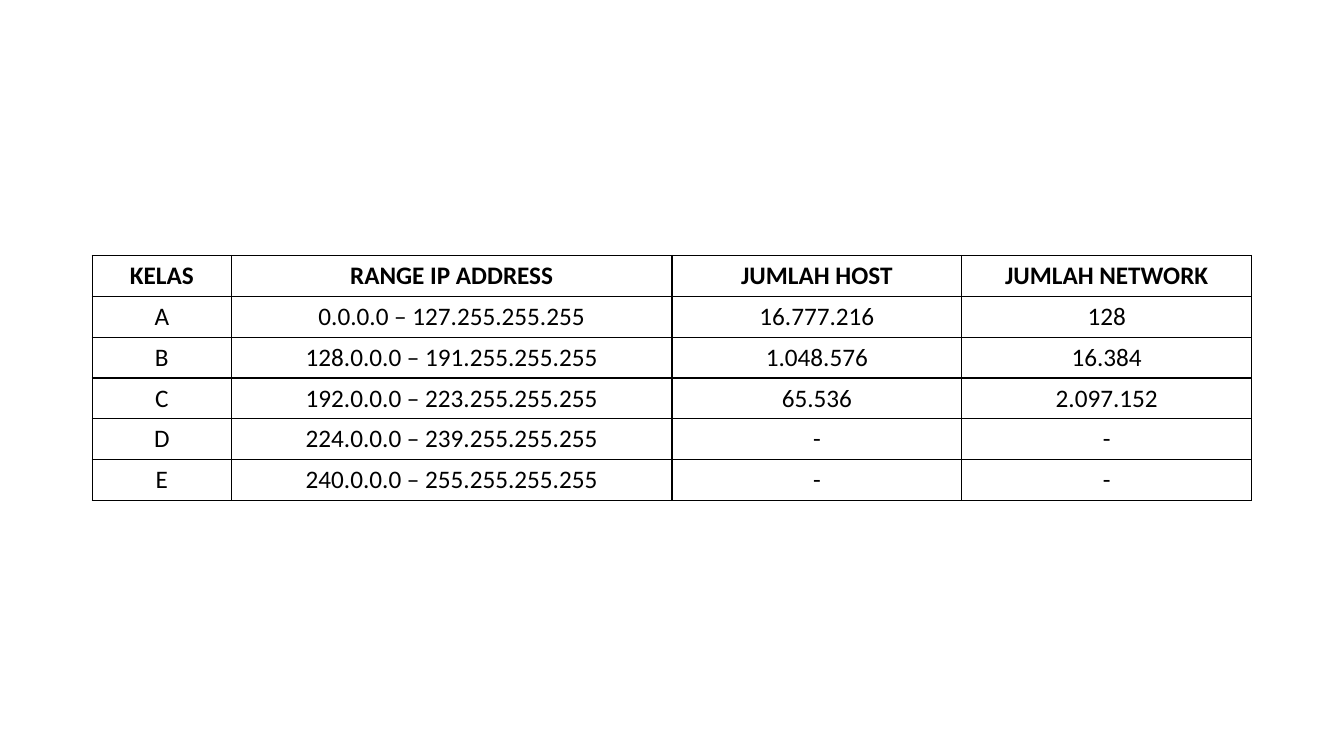
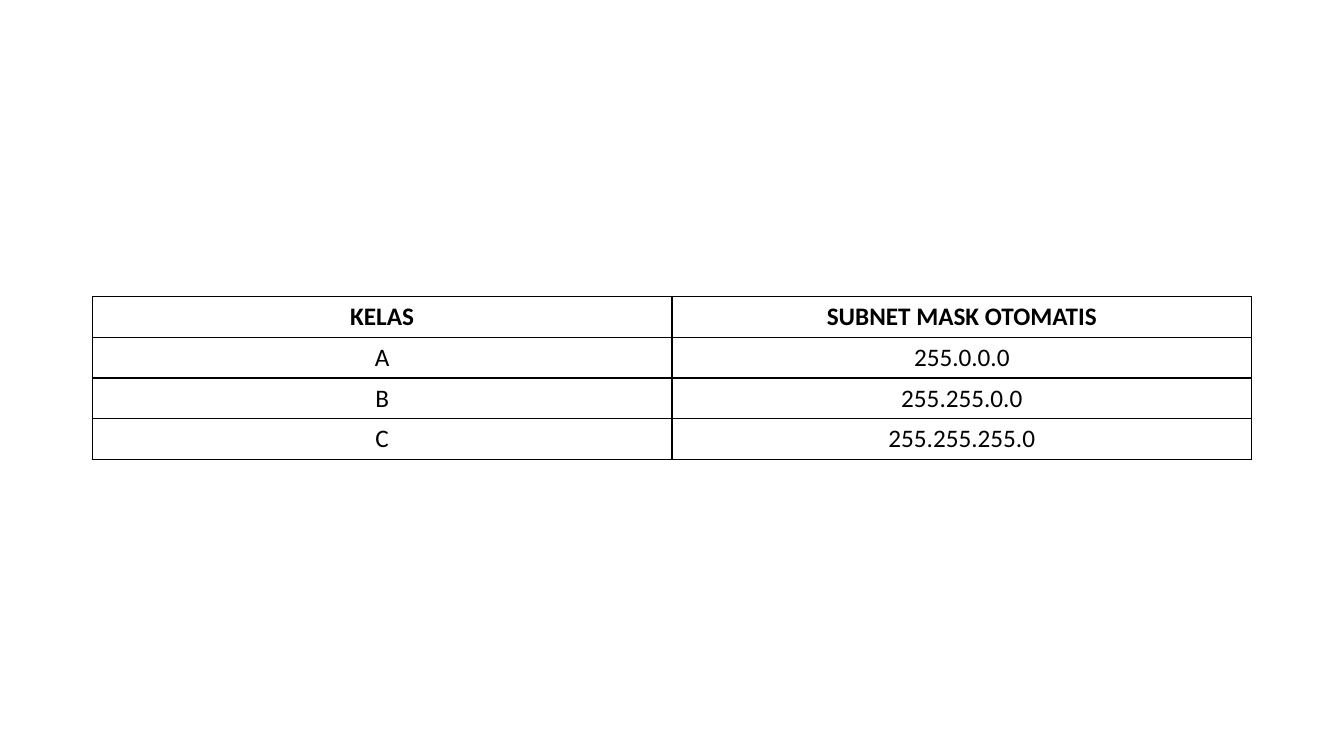
from dataclasses import dataclass

from lxml import etree
from pptx import Presentation
from pptx import util as u
from pptx.dml.color import RGBColor
from pptx.enum import text
from pptx.oxml import ns


@dataclass(frozen=True)
class Theme:
    ink: str = "000000"
    paper: str = "FFFFFF"
    font: str = "Calibri"
    body_size: float = 18
    border_width: float = 1
    row_height: float = 29.2


THEME = Theme()
SLIDE_WIDTH = u.Inches(13.33)
SLIDE_HEIGHT = u.Inches(7.5)
TABLE_WIDTH = u.Inches(11.5)

IP_CLASSES = [
    ("KELAS", "RANGE IP ADDRESS", "JUMLAH HOST", "JUMLAH NETWORK"),
    ("A", "0.0.0.0 – 127.255.255.255", "16.777.216", "128"),
    ("B", "128.0.0.0 – 191.255.255.255", "1.048.576", "16.384"),
    ("C", "192.0.0.0 – 223.255.255.255", "65.536", "2.097.152"),
    ("D", "224.0.0.0 – 239.255.255.255", "-", "-"),
    ("E", "240.0.0.0 – 255.255.255.255", "-", "-"),
]
IP_CLASS_SHARES = (0.12, 0.38, 0.25, 0.25)

SUBNET_MASKS = [
    ("KELAS", "SUBNET MASK OTOMATIS"),
    ("A", "255.0.0.0"),
    ("B", "255.255.0.0"),
    ("C", "255.255.255.0"),
]
SUBNET_MASK_SHARES = (0.5, 0.5)


def write_text(frame, wording, *, size=THEME.body_size, color=THEME.ink,
               bold=False, align=text.PP_ALIGN.CENTER):
    paragraph = frame.paragraphs[0]
    paragraph.alignment = align
    run = paragraph.add_run()
    run.text = wording
    run.font.name = THEME.font
    run.font.size = u.Pt(size)
    run.font.bold = bold
    run.font.color.rgb = RGBColor.from_string(color)


def add_borders(cell):
    properties = cell._tc.get_or_add_tcPr()
    for side in ("lnL", "lnR", "lnT", "lnB"):
        border = etree.SubElement(properties, ns.qn(f"a:{side}"),
                                  w=str(u.Pt(THEME.border_width)))
        fill = etree.SubElement(border, ns.qn("a:solidFill"))
        etree.SubElement(fill, ns.qn("a:srgbClr"), val=THEME.ink)


def add_centered_table(slide, records, column_shares):
    row_height = u.Pt(THEME.row_height)
    height = row_height * len(records)
    left = (SLIDE_WIDTH - TABLE_WIDTH) // 2
    top = (SLIDE_HEIGHT - height) // 2
    table = slide.shapes.add_table(len(records), len(column_shares),
                                   left, top, TABLE_WIDTH, height).table
    table.horz_banding = False
    for column, share in zip(table.columns, column_shares):
        column.width = round(TABLE_WIDTH * share)
    for index, (row, record) in enumerate(zip(table.rows, records)):
        row.height = row_height
        for cell, wording in zip(row.cells, record):
            add_borders(cell)
            cell.fill.background()
            write_text(cell.text_frame, wording, bold=index == 0)


def add_blank_slide(deck):
    slide = deck.slides.add_slide(deck.slide_layouts[6])
    slide.background.fill.solid()
    slide.background.fill.fore_color.rgb = RGBColor.from_string(THEME.paper)
    return slide


def main():
    deck = Presentation()
    deck.slide_width = SLIDE_WIDTH
    deck.slide_height = SLIDE_HEIGHT
    add_centered_table(add_blank_slide(deck), IP_CLASSES, IP_CLASS_SHARES)
    add_centered_table(add_blank_slide(deck), SUBNET_MASKS, SUBNET_MASK_SHARES)
    deck.save("out.pptx")


if __name__ == "__main__":
    main()
